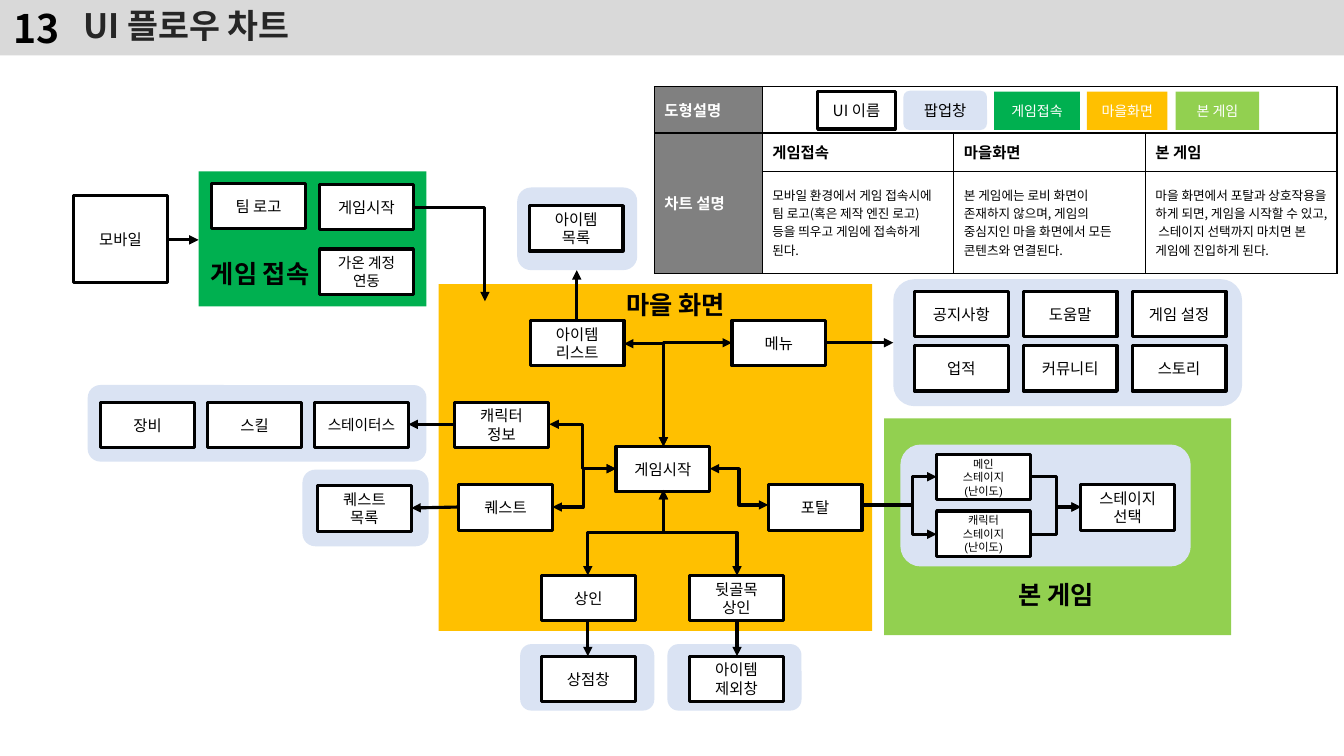
import pptx
import pptx.dml.color
import pptx.enum.shapes
import pptx.enum.text
import pptx.oxml.ns
import pptx.util
from lxml import etree

EMU_PER_PX = 9144  # 100 px to the inch
BLACK, WHITE, GREY, DARK = "000000", "FFFFFF", "808080", "262626"
POPUP, ACCESS, VILLAGE, GAME = "DAE3F3", "00B050", "FFC000", "92D050"
SANS, ARIAL = "Noto Sans CJK KR", "Arial"
BOX_WIDTH, BOX_HEIGHT = 93, 45
RECTANGLE = pptx.enum.shapes.MSO_SHAPE.RECTANGLE
ROUNDED = pptx.enum.shapes.MSO_SHAPE.ROUNDED_RECTANGLE
CENTER, LEFT = pptx.enum.text.PP_ALIGN.CENTER, pptx.enum.text.PP_ALIGN.LEFT
MIDDLE = pptx.enum.text.MSO_ANCHOR.MIDDLE


def px(length):
    return pptx.util.Emu(round(length * EMU_PER_PX))


def color(value):
    return pptx.dml.color.RGBColor.from_string(value)


def child(parent, tag, **attributes):
    return etree.SubElement(parent, pptx.oxml.ns.qn(tag), attributes)


def write(frame, text, size, font=ARIAL, fill=BLACK, bold=False, align=CENTER):
    """Write each line of the text as one paragraph with one run."""
    for index, line in enumerate(text.split("\n")):
        paragraph = frame.add_paragraph() if index else frame.paragraphs[0]
        paragraph.alignment = align
        run = paragraph.add_run()
        run.text = line
        run.font.size = pptx.util.Pt(size)
        run.font.bold = bold
        run.font.name = font
        run.font.color.rgb = color(fill)
        child(run.font._element, "a:ea", typeface=SANS)


def add_area(slide, left, top, width, height, fill, kind=RECTANGLE):
    shape = slide.shapes.add_shape(kind, px(left), px(top), px(width), px(height))
    shape.shadow.inherit = False
    shape.fill.solid()
    shape.fill.fore_color.rgb = color(fill)
    shape.line.fill.background()
    shape.text_frame.word_wrap = True
    shape.text_frame.vertical_anchor = MIDDLE
    return shape


def add_box(slide, left, top, text, size=11, width=BOX_WIDTH, height=BOX_HEIGHT, font=ARIAL):
    shape = add_area(slide, left, top, width, height, WHITE)
    shape.line.color.rgb = color(BLACK)
    shape.line.width = pptx.util.Pt(2.25)
    write(shape.text_frame, text, size, font)


def add_text(slide, left, top, width, height, text, size, font=ARIAL, fill=BLACK,
             align=CENTER, wrap=False):
    frame = slide.shapes.add_textbox(px(left), px(top), px(width), px(height)).text_frame
    frame.word_wrap = wrap
    frame.vertical_anchor = MIDDLE
    write(frame, text, size, font, fill, True, align)


def add_arrow(slide, start, end, bend=None, vertical=False, both=False, adjust=50000):
    """Draw an arrow; bend is the bentConnector number, vertical its first direction."""
    (x1, y1), (x2, y2) = start, end
    turn = 1 if y2 > y1 else -1
    if vertical:  # lay the connector out flat around its middle, then rotate it
        middle_x, middle_y = (x1 + x2) / 2, (y1 + y2) / 2
        half_run, half_rise = abs(y2 - y1) / 2, -turn * (x2 - x1) / 2
        x1, x2 = middle_x - half_run, middle_x + half_run
        y1, y2 = middle_y - half_rise, middle_y + half_rise
    types = pptx.enum.shapes.MSO_CONNECTOR
    connector = slide.shapes.add_connector(
        types.ELBOW if bend else types.STRAIGHT, px(x1), px(y1), px(x2), px(y2))
    properties = connector._element.spPr
    if vertical:
        properties.find(pptx.oxml.ns.qn("a:xfrm")).set("rot", str(turn * 5400000 % 21600000))
    if bend:
        geometry = properties.find(pptx.oxml.ns.qn("a:prstGeom"))
        geometry.set("prst", f"bentConnector{bend}")
        if bend == 3:
            guides = geometry.find(pptx.oxml.ns.qn("a:avLst"))
            if guides is None:
                guides = child(geometry, "a:avLst")
            child(guides, "a:gd", name="adj1", fmla=f"val {adjust}")
    connector.line.color.rgb = color(BLACK)
    connector.line.width = pptx.util.Pt(2.25)
    line = connector.line._get_or_add_ln()
    if both:
        child(line, "a:headEnd", type="triangle")
    child(line, "a:tailEnd", type="triangle")
    child(properties, "a:effectLst")


def fill_cell(cell, text="", fill=None, size=11, bold=True):
    for side in ("a:lnL", "a:lnR", "a:lnT", "a:lnB"):
        border = child(cell._tc.get_or_add_tcPr(), side, w="12700")
        child(child(border, "a:solidFill"), "a:srgbClr", val=BLACK)
    if fill:
        cell.fill.solid()
        cell.fill.fore_color.rgb = color(fill)
    else:
        cell.fill.background()
    cell.vertical_anchor = MIDDLE
    if text:
        write(cell.text_frame, text, size, SANS, WHITE if fill else BLACK, bold, LEFT)


def add_description_table(slide):
    rows = [
        ["도형설명", "", "", ""],
        ["차트 설명", "게임접속", "마을화면", "본 게임"],
        ["",
         "모바일 환경에서 게임 접속시에 팀 로고(혹은 제작 엔진 로고) 등을 띄우고 게임에 접속하게 된다.",
         "본 게임에는 로비 화면이 존재하지 않으며, 게임의 중심지인 마을 화면에서 모든 콘텐츠와 연결된다.",
         "마을 화면에서 포탈과 상호작용을 하게 되면, 게임을 시작할 수 있고, 스테이지 선택까지 마치면 "
         "본 게임에 진입하게 된다."],
    ]
    table = slide.shapes.add_table(3, 4, px(649), px(86), px(677), px(185)).table
    table.first_row = table.horz_banding = False
    for column, width in zip(table.columns, (107, 190, 190, 190)):
        column.width = px(width)
    for row, height in zip(table.rows, (46, 38, 101)):
        row.height = px(height)
    for r, texts in enumerate(rows):
        for c, text in enumerate(texts):
            detail = r == 2
            fill_cell(table.cell(r, c), text, None if c else GREY, 9 if detail else 11, not detail)
    table.cell(0, 1).merge(table.cell(0, 3))
    table.cell(1, 0).merge(table.cell(2, 0))


def add_legend(slide):
    add_box(slide, 811, 91, "UI 이름", width=77, height=37, font=SANS)
    popup = add_area(slide, 896, 90, 83, 39, POPUP, ROUNDED)
    write(popup.text_frame, "팝업창", 11)
    for left, width, fill, text in ((986, 85, ACCESS, "게임접속"), (1078, 80, VILLAGE, "마을화면"),
                                    (1166, 83, GAME, "본 게임")):
        write(add_area(slide, left, 91, width, 38, fill).text_frame, text, 10, fill=WHITE)


def add_areas(slide):
    for area in ((877, 415, 344, 215, GAME), (197, 170, 226, 134, ACCESS),
                 (435, 282, 430, 344, VILLAGE)):
        add_area(slide, *area)
    for popup in ((662, 639, 133, 66), (516, 639, 133, 66), (513, 186, 119, 82),
                  (886, 277, 346, 126), (87, 382, 336, 76), (300, 466, 125, 76),
                  (893, 441, 288, 121)):
        add_area(slide, *popup, POPUP, ROUNDED)


def add_boxes(slide):
    # Game access
    add_box(slide, 73, 194, "모바일", height=86)
    add_box(slide, 210, 182, "팀 로고")
    add_box(slide, 317, 183, "게임시작")
    add_box(slide, 317, 247, "가온 계정 연동", 10.5)
    # Village
    for left, top, text in (
            (526, 318, "아이템\n리스트"), (525, 204, "아이템\n목록"), (726, 318, "메뉴"),
            (451, 399, "캐릭터\n정보"), (455, 481, "퀘스트"), (315, 482, "퀘스트\n목록"),
            (611, 443, "게임시작"), (762, 481, "포탈"), (537, 571, "상인"),
            (684, 571, "뒷골목\n상인"), (537, 651, "상점창"), (684, 651, "아이템\n제외창")):
        add_box(slide, left, top, text)
    # Character and menu popups
    for index, (text, size) in enumerate((("장비", 11), ("스킬", 11), ("스테이터스", 10.5))):
        add_box(slide, 100 + 106 * index, 399, text, size)
    menu = (("공지사항", "도움말", "게임 설정"), ("업적", "커뮤니티", "스토리"))
    for row, texts in enumerate(menu):
        for column, text in enumerate(texts):
            add_box(slide, 907 + 108 * column, 289 + 54 * row, text)
    # Main game
    for index, stage in enumerate(("메인", "캐릭터")):
        add_box(slide, 929, 451 + 56 * index, f"{stage}\n스테이지\n(난이도)", 8)
    add_box(slide, 1072, 481, "스테이지 선택")


def add_arrows(slide):
    # Straight steps
    for start, end in (((166, 238), (197, 238)), ((451, 421), (405, 421)), ((455, 503), (408, 504)),
                       ((583, 616), (583, 651)), ((731, 616), (731, 651)),
                       ((572, 318), (572, 268)), ((819, 340), (886, 340))):
        add_arrow(slide, start, end)
    add_arrow(slide, (410, 206), (481, 299), bend=2)
    # Branches around the village start
    add_arrow(slide, (704, 465), (762, 501), bend=3, both=True)
    add_arrow(slide, (611, 465), (548, 503), bend=3, both=True, adjust=51700)
    add_arrow(slide, (611, 465), (545, 421), bend=3, both=True)
    for end in ((619, 341), (726, 340)):
        add_arrow(slide, (658, 443), end, bend=2, vertical=True, both=True)
    for end in ((583, 571), (731, 571)):
        add_arrow(slide, (658, 486), end, bend=3, vertical=True, both=True)
    # Portal to stages to stage selection
    for stage_y in (473, 530):
        add_arrow(slide, (855, 501), (929, stage_y), bend=3, adjust=67600)
        add_arrow(slide, (1023, stage_y), (1072, 503), bend=3)


def main():
    presentation = pptx.Presentation()
    presentation.slide_width, presentation.slide_height = px(1333), px(750)
    slide = presentation.slides.add_slide(presentation.slide_layouts[6])
    # Header
    add_area(slide, 0, 0, 1333, 55, "D9D9D9")
    add_text(slide, 0, 0, 73, 55, "13", 28, SANS, wrap=True)
    add_text(slide, 73, 0, 1150, 50, "UI 플로우 차트", 24, SANS, DARK, LEFT, True)
    # Description and flow chart
    add_description_table(slide)
    add_areas(slide)
    add_boxes(slide)
    add_arrows(slide)
    add_text(slide, 605, 282, 130, 40, "마을 화면", 18)
    add_text(slide, 193, 251, 130, 40, "게임 접속", 18)
    add_text(slide, 995, 570, 105, 40, "본 게임", 18)
    add_legend(slide)
    presentation.save("out.pptx")


if __name__ == "__main__":
    main()
